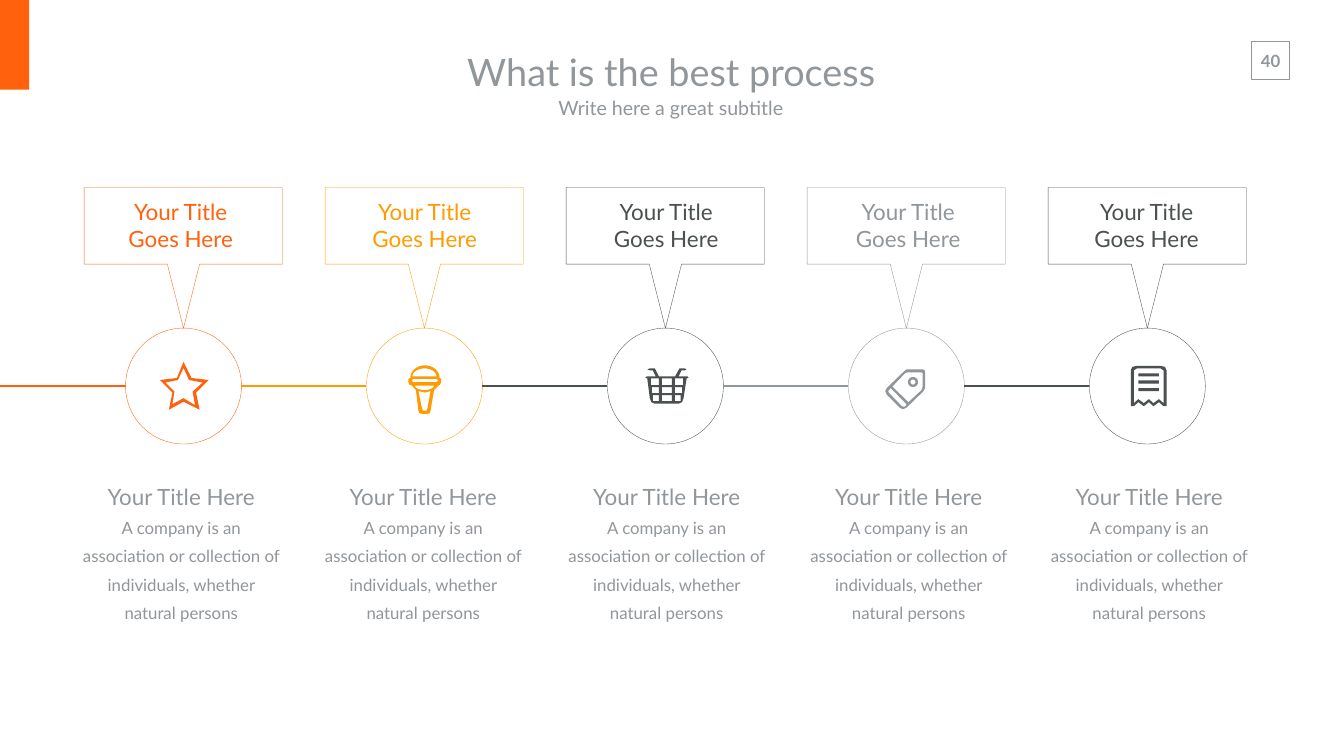
from dataclasses import dataclass
from math import cos, pi, sin
from lxml.etree import SubElement
from pptx import Presentation
from pptx.dml.color import RGBColor as RGB
from pptx.enum.shapes import MSO_CONNECTOR as LINK, MSO_SHAPE as SHAPE
from pptx.enum.text import MSO_ANCHOR as ANCHOR, PP_ALIGN as ALIGN
from pptx.oxml.ns import qn
from pptx.util import Inches, Pt


@dataclass(frozen=True)
class Theme:
    """Colours, font and type sizes."""
    red: str = "FF610C"
    gold: str = "FF9B00"
    dark: str = "4B5050"
    grey: str = "91969B"
    white: str = "FFFFFF"
    font: str = "Lato"
    title: int = 54
    head: int = 32
    sub: int = 28
    body: int = 24


THEME = Theme()
FIRST, PITCH, AXIS, RADIUS = 3.64, 4.78, 7.66, 1.15
BODY = "A company is an association or collection of individuals, whether natural persons"


def arc(x, y, wide, high, start=0, end=2 * pi, count=24):
    """Return points along an elliptical arc."""
    turns = [start + (end - start) * i / count for i in range(count + 1)]
    return [(x + wide * cos(t), y + high * sin(t)) for t in turns]


def box(left, top, right, low):
    """Return the corners of a rectangle."""
    return [(left, top), (right, top), (right, low), (left, low)]


def star():
    """Return the outlines of the star icon."""
    return [
        [(.5, -.12), (.16, -.16), (0, -.48), (-.13, -.16), (-.47, -.12),
         (-.22, .13), (-.29, .47), (0, .31), (.32, .47), (.25, .13)],
        [(0, .24), (-.22, .36), (-.18, .11), (-.36, -.07), (-.11, -.12),
         (0, -.36), (.11, -.12), (.38, -.07), (.18, .11), (.23, .38)]]


def cone():
    """Return the outlines of the ice cream icon."""
    return [
        arc(.01, -.16, .29, .25, pi, 2 * pi) + [
            (.33, -.14), (.33, -.08), (.31, -.03), (.28, -.01), (.19, .08),
            (.12, .49), (.11, .54), (.06, .55), (-.05, .55), (-.1, .54),
            (-.12, .49), (-.17, .08), (-.25, -.01), (-.3, -.03), (-.32, -.08),
            (-.32, -.14)],
        arc(0, -.19, .24, .16, pi, 2 * pi),
        [(-.23, -.14), (.24, -.14), (.28, -.11), (.24, -.08), (-.23, -.08),
         (-.25, -.11)],
        arc(0, -.01, .19, .09, 0, pi),
        [(.06, .44), (.04, .49), (-.03, .49), (-.05, .44), (-.12, .1),
         (.01, .13), (.12, .1)]]


def basket():
    """Return the outlines of the basket icon."""
    rim = [(.44, -.19), (.26, -.19), (.32, -.31), (.38, -.31), (.42, -.33),
           (.38, -.35), (.28, -.35), (.19, -.19), (-.13, -.19), (-.21, -.35),
           (-.31, -.35), (-.36, -.33), (-.31, -.31), (-.25, -.31),
           (-.19, -.19), (-.37, -.19), (-.4, -.17), (-.36, -.15), (-.31, .24),
           (-.28, .32), (-.21, .35), (.26, .35), (.33, .32), (.36, .24),
           (.42, -.15), (.46, -.17)]
    rows = [(-.15, -.02, -.29, .35), (.02, .14, -.27, .33), (.18, .3, -.25, .3)]
    cells = [box(x, top, end, low) for top, low, left, right in rows
             for x, end in [(left, -.13), (-.07, .13), (.19, right)]]
    return [rim] + cells


def tag():
    """Return the outlines of the price tag icon."""
    return [
        [(.32, -.33), (0, -.33), (-.05, -.29), (-.39, .04), (-.42, .1),
         (-.39, .17), (-.13, .43), (-.07, .46), (0, .43), (.34, .1),
         (.37, .04), (.37, -.27), (.36, -.32)],
        [(-.02, .4), (-.05, .41), (-.09, .4), (-.35, .13), (-.36, .1),
         (-.35, .08), (-.31, .04), (0, .36)],
        [(.32, .02), (.3, .08), (.04, .32), (-.28, .01), (-.02, -.26),
         (.02, -.27), (.3, -.27), (.32, -.26)],
        arc(.13, -.08, .1, .1), arc(.13, -.08, .05, .05)]


def receipt():
    """Return the outlines of the receipt icon."""
    edge = [(-.27, .4), (-.18, .32), (-.07, .4), (.03, .32), (.12, .4),
            (.23, .32), (.32, .4)]
    outer = [(-.33, -.31), (-.3, -.38), (-.21, -.4), (.26, -.4), (.35, -.38),
             (.38, -.31), (.38, .4)] + edge[::-1] + [(-.33, .4)]
    inner = [(-.27, -.31), (-.21, -.35), (.26, -.35), (.32, -.31)]
    inner += [(x, y - .06) for x, y in edge[::-1]]
    bars = [box(-.18, y, .23, y + .06) for y in (-.25, -.11, .04)]
    return [outer, inner] + bars


def paint(shape, fill=None, line=None, width=.5):
    """Set the fill and line of a shape and drop its shadow."""
    shape.shadow.inherit = False
    for part, tone in ((shape.fill, fill), (shape.line.fill, line)):
        if tone:
            part.solid()
            part.fore_color.rgb = RGB.from_string(tone)
        else:
            part.background()
    if line:
        shape.line.width = Pt(width)


def place(slide, kind, area, **style):
    """Add a preset shape."""
    paint(slide.shapes.add_shape(kind, *map(Inches, area)), **style)


def draw(slide, x, y, paths, **style):
    """Add closed outlines set around a point."""
    paths = [[(Inches(x + dx), Inches(y + dy)) for dx, dy in p] for p in paths]
    pen = slide.shapes.build_freeform(*paths[0][0], scale=1.0)
    for i, dots in enumerate(paths):
        if i:
            pen.move_to(*dots[0])
        pen.add_line_segments(dots[1:], close=True)
    paint(pen.convert_to_shape(), **style)


def link(slide, start, end, tone):
    """Add a level line on the axis."""
    line = slide.shapes.add_connector(
        LINK.STRAIGHT, *map(Inches, (start, AXIS, end, AXIS)))
    line.line.width = Pt(3)
    line.line.color.rgb = RGB.from_string(tone)
    SubElement(line._element.spPr, qn("a:effectLst"))


def write(frame, lines, tone, space=None, bold=False):
    """Fill a text frame with centred lines of given sizes."""
    for i, (text, size) in enumerate(lines):
        para = frame.add_paragraph() if i else frame.paragraphs[0]
        para.text = text
        para.alignment = ALIGN.CENTER
        para.line_spacing = space
        font = para.font
        font.name, font.size, font.bold = THEME.font, Pt(size), bold
        font.color.rgb = RGB.from_string(tone)


def label(slide, area, lines, tone, wrap=True, **style):
    """Add a text box and return its frame."""
    frame = slide.shapes.add_textbox(*map(Inches, area)).text_frame
    frame.word_wrap = wrap
    write(frame, lines, tone, **style)
    return frame


def header(slide):
    """Add the title, subtitle, page number and corner mark."""
    title = slide.shapes.title
    title.left, title.top, title.width, title.height = map(
        Inches, (8.15, .83, 10.33, 1.18))
    write(title.text_frame, [("What is the best process", THEME.title)], THEME.grey)
    sub = label(slide, (8.14, 1.76, 10.33, .74),
                [("Write here a great subtitle", THEME.sub)], THEME.grey)
    for frame in (title.text_frame, sub):
        frame.vertical_anchor = ANCHOR.MIDDLE
        frame.margin_top = frame.margin_bottom = Inches(.13)
    place(slide, SHAPE.RECTANGLE, (24.83, .82, .75, .75), line=THEME.grey, width=1)
    place(slide, SHAPE.RECTANGLE, (0, 0, .58, 1.78), fill=THEME.red)
    page = label(slide, (24.8, .9, .81, .61), [("40", THEME.body)],
                 THEME.grey, wrap=False, bold=True)
    page.margin_top = page.margin_bottom = Inches(.1)


def step(slide, x, tone, icon, head, body):
    """Add one stage of the process."""
    place(slide, SHAPE.OVAL, (x - RADIUS, AXIS - RADIUS, 2 * RADIUS, 2 * RADIUS),
          fill=THEME.white, line=tone)
    link(slide, x - FIRST, x - RADIUS, tone)
    callout = [(-1.97, -2.79), (1.96, -2.79), (1.96, -1.27), (.32, -1.27),
               (0, 0), (-.32, -1.27), (-1.97, -1.27)]
    draw(slide, x, AXIS - RADIUS, [callout], line=tone)
    label(slide, (head, 3.89, 3.95, 1.18),
          [("Your Title", THEME.head), ("Goes Here", THEME.head)], tone)
    label(slide, (body, 9.32, 4.11, 2.52),
          [("Your Title Here", THEME.head), (BODY, THEME.body)],
          THEME.grey, space=1.4)
    draw(slide, x, AXIS, icon(), fill=tone)


def main():
    """Build and save the slide."""
    deck = Presentation()
    deck.slide_width, deck.slide_height = Inches(26.66), Inches(15)
    slide = deck.slides.add_slide(deck.slide_layouts[5])
    header(slide)
    steps = [(THEME.red, star, 1.61, 1.54), (THEME.gold, cone, 6.45, 6.34),
             (THEME.dark, basket, 11.24, 11.17), (THEME.grey, tag, 16.04, 15.97),
             (THEME.dark, receipt, 20.77, 20.74)]
    for i, parts in enumerate(steps):
        step(slide, FIRST + i * PITCH, *parts)
    deck.save("out.pptx")


if __name__ == "__main__":
    main()
